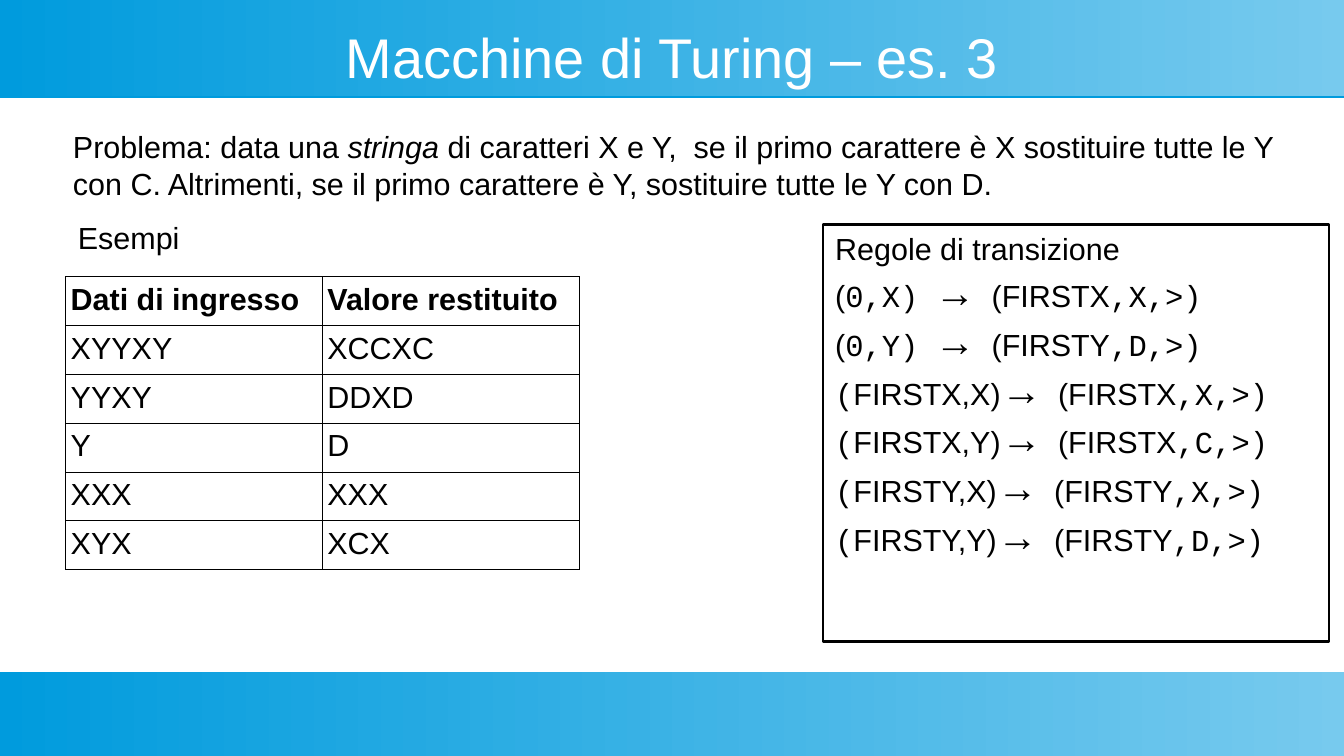
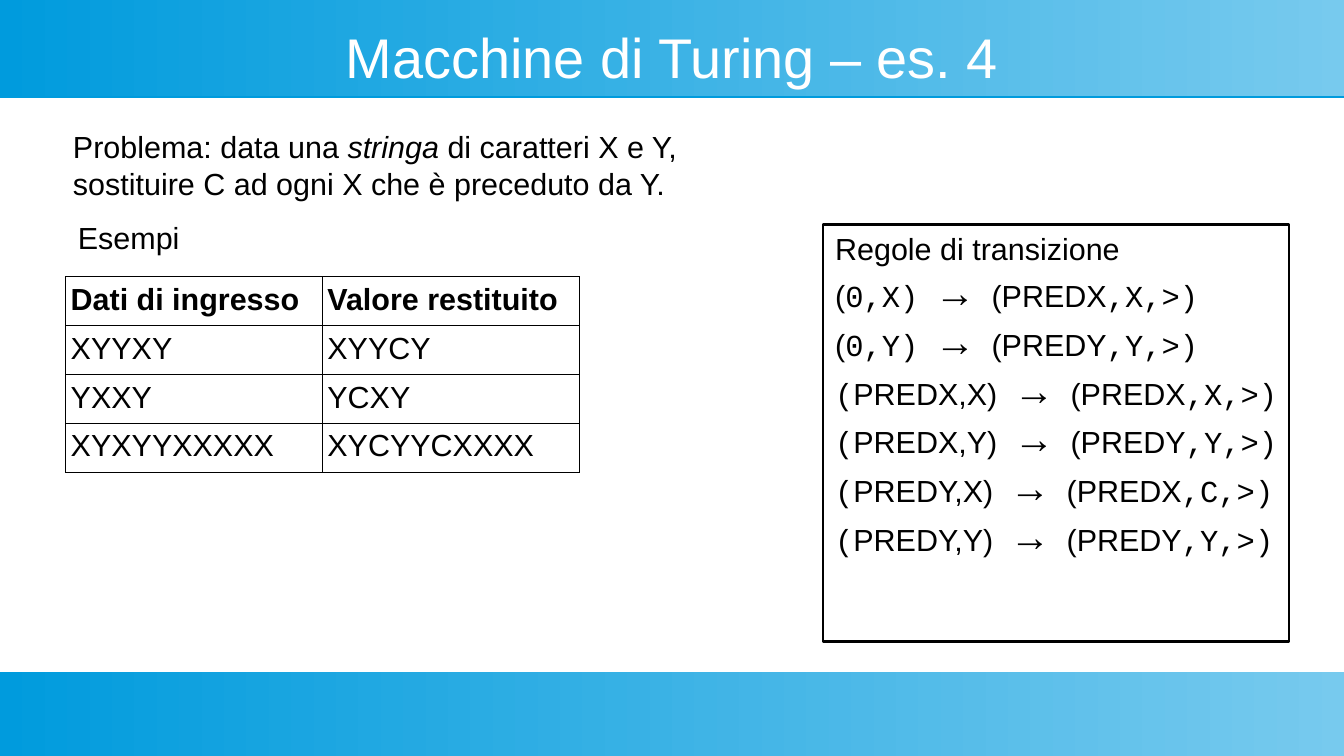
from dataclasses import dataclass
from typing import NamedTuple

from lxml import etree
from pptx import Presentation
from pptx import util as u
from pptx.dml.color import RGBColor
from pptx.enum import shapes, text
from pptx.oxml.ns import qn


@dataclass(frozen=True)
class Theme:
    deep: str = "009BDD"
    pale: str = "77CAEE"
    ink: str = "000000"
    paper: str = "FFFFFF"
    sans: str = "Arial"
    mono: str = "Courier New"
    title_size: float = 33
    body_size: float = 18
    arrow_size: float = 24
    cell_line: float = 0.57
    box_line: float = 1.42
    shadow_drop: float = 0.9


THEME = Theme()


class Region(NamedTuple):
    """Left, top, width and height in percent of the slide's size."""
    left: float
    top: float
    width: float
    height: float


class Span(NamedTuple):
    text: str
    font: str
    size: float
    bold: bool = False
    italic: bool = False
    color: str = THEME.ink


class Rule(NamedTuple):
    state: str
    symbol: str
    next_state: str
    new_symbol: str
    bold_arrow: bool = False


@dataclass(frozen=True)
class Exercise:
    number: int
    problem: list[list[str]]
    problem_width: float
    examples: list[tuple[str, str]]
    rules: list[Rule]
    rules_width: float
    narrow_gap: bool = False


WIDTH, HEIGHT = u.Inches(11.02), u.Inches(6.2)
BANDS = (Region(0, 0, 100, 12.74), Region(0, 88.87, 100, 11.13))
TITLE = Region(3.54, 3.23, 92.92, 8.39)
ROW_HEIGHT = 6.45
INITIAL = "0"
HEADER = ("Dati di ingresso", "Valore restituito")

EXERCISES = [
    Exercise(
        number=3,
        problem=[["Problema: data una ", "stringa",
                  " di caratteri X e Y,  se il primo carattere è X sostituire tutte le Y "
                  "con C. Altrimenti, se il primo carattere è Y, sostituire tutte le Y con D."]],
        problem_width=93.01,
        examples=[("XYYXY", "XCCXC"), ("YYXY", "DDXD"), ("Y", "D"),
                  ("XXX", "XXX"), ("XYX", "XCX")],
        rules=[Rule(INITIAL, "X", "FIRSTX", "X", True), Rule(INITIAL, "Y", "FIRSTY", "D"),
               Rule("FIRSTX", "X", "FIRSTX", "X", True), Rule("FIRSTX", "Y", "FIRSTX", "C"),
               Rule("FIRSTY", "X", "FIRSTY", "X"), Rule("FIRSTY", "Y", "FIRSTY", "D")],
        rules_width=37.66,
        narrow_gap=True,
    ),
    Exercise(
        number=4,
        problem=[["Problema: data una ", "stringa", " di caratteri X e Y,"],
                 ["sostituire C ad ogni X che è preceduto da Y."]],
        problem_width=63.52,
        examples=[("XYYXY", "XYYCY"), ("YXXY", "YCXY"), ("XYXYYXXXXX", "XYCYYCXXXX")],
        rules=[Rule(INITIAL, "X", "PREDX", "X", True), Rule(INITIAL, "Y", "PREDY", "Y"),
               Rule("PREDX", "X", "PREDX", "X"), Rule("PREDX", "Y", "PREDY", "Y"),
               Rule("PREDY", "X", "PREDX", "C"), Rule("PREDY", "Y", "PREDY", "Y")],
        rules_width=34.66,
    ),
]


def place(region: Region) -> tuple[int, int, int, int]:
    return (round(WIDTH * region.left / 100), round(HEIGHT * region.top / 100),
            round(WIDTH * region.width / 100), round(HEIGHT * region.height / 100))


def body(words: str, bold: bool = False, italic: bool = False) -> Span:
    return Span(words, THEME.sans, THEME.body_size, bold, italic)


def code(words: str) -> Span:
    return Span(words, THEME.mono, THEME.body_size)


def add_lines(frame, lines: list[list[Span]], align=text.PP_ALIGN.LEFT) -> None:
    for index, spans in enumerate(lines):
        paragraph = frame.add_paragraph() if index else frame.paragraphs[0]
        paragraph.alignment = align
        for span in spans:
            run = paragraph.add_run()
            run.text = span.text
            run.font.name = span.font
            run.font.size = u.Pt(span.size)
            run.font.bold = span.bold
            run.font.italic = span.italic
            run.font.color.rgb = RGBColor.from_string(span.color)


def add_band(slide, region: Region):
    band = slide.shapes.add_shape(shapes.MSO_SHAPE.RECTANGLE, *place(region))
    band.line.fill.background()
    band.fill.gradient()
    band.fill.gradient_angle = 0
    for stop, color in zip(band.fill.gradient_stops, (THEME.deep, THEME.pale)):
        stop.color.rgb = RGBColor.from_string(color)
    band.shadow.inherit = False
    effects = band.element.spPr.find(qn("a:effectLst"))
    shadow = etree.SubElement(effects, qn("a:outerShdw"), blurRad="0",
                              dist=str(u.Pt(THEME.shadow_drop)), dir="5400000",
                              algn="ctr", rotWithShape="0")
    etree.SubElement(shadow, qn("a:srgbClr"), val=THEME.deep)
    return band


def dress_layout(layout, slide) -> None:
    """Set the shared title place and bands; bands are drawn on slide, then moved."""
    for holder in list(layout.placeholders):
        if holder.placeholder_format.type == shapes.PP_PLACEHOLDER.TITLE:
            holder.left, holder.top, holder.width, holder.height = place(TITLE)
        else:
            holder.element.getparent().remove(holder.element)
    bands = [add_band(slide, region) for region in BANDS]
    for offset, band in enumerate(bands):
        layout.shapes.element.insert(2 + offset, band.element)


def add_title(slide, number: int) -> None:
    frame = slide.shapes.title.text_frame
    frame.margin_left = frame.margin_right = frame.margin_top = frame.margin_bottom = 0
    frame.vertical_anchor = text.MSO_ANCHOR.MIDDLE
    heading = Span(f"Macchine di Turing – es. {number}", THEME.sans,
                   THEME.title_size, color=THEME.paper)
    add_lines(frame, [[heading]], text.PP_ALIGN.CENTER)


def add_note(slide, region: Region, lines: list[list[Span]]) -> None:
    frame = slide.shapes.add_textbox(*place(region)).text_frame
    frame.word_wrap = True
    add_lines(frame, lines)


def outline_cell(cell) -> None:
    properties = cell._tc.get_or_add_tcPr()
    for index, side in enumerate(("a:lnL", "a:lnR", "a:lnT", "a:lnB")):
        line = etree.Element(qn(side), w=str(u.Pt(THEME.cell_line)))
        fill = etree.SubElement(line, qn("a:solidFill"))
        etree.SubElement(fill, qn("a:srgbClr"), val=THEME.ink)
        properties.insert(index, line)


def add_examples(slide, examples: list[tuple[str, str]]) -> None:
    rows = [HEADER, *examples]
    region = Region(4.9, 36.61, 38.2, ROW_HEIGHT * len(rows))
    table = slide.shapes.add_table(len(rows), len(HEADER), *place(region)).table
    table.first_row = table.horz_banding = False
    for row_index, row in enumerate(rows):
        for column_index, words in enumerate(row):
            cell = table.cell(row_index, column_index)
            cell.margin_left = cell.margin_right = u.Inches(0.04)
            cell.fill.background()
            outline_cell(cell)
            add_lines(cell.text_frame, [[body(words, bold=row_index == 0)]])


def rule_spans(rule: Rule, narrow_gap: bool) -> list[Span]:
    """Mix of sans and mono runs: the initial state is mono, named states are sans."""
    source = f"{rule.state},{rule.symbol})"
    if rule.state == INITIAL:
        spans, arrow = [body("("), code(source)], " → "
    elif narrow_gap:
        spans, arrow = [code("("), body(source + " ")], "→ "
    else:
        spans, arrow = [code("("), body(source)], " → "
    return [*spans,
            Span(arrow, THEME.mono, THEME.arrow_size, rule.bold_arrow),
            body(f"({rule.next_state}"), code(f",{rule.new_symbol},>)")]


def add_rules(slide, exercise: Exercise) -> None:
    region = Region(61.25, 29.68, exercise.rules_width, 55.16)
    box = slide.shapes.add_shape(shapes.MSO_SHAPE.RECTANGLE, *place(region))
    box.shadow.inherit = False
    box.fill.background()
    box.line.color.rgb = RGBColor.from_string(THEME.ink)
    box.line.width = u.Pt(THEME.box_line)
    frame = box.text_frame
    frame.word_wrap = True
    frame.margin_right = 0
    frame.vertical_anchor = text.MSO_ANCHOR.TOP
    add_lines(frame, [[body("Regole di transizione")],
                      *(rule_spans(rule, exercise.narrow_gap) for rule in exercise.rules)])


def add_exercise(slide, exercise: Exercise) -> None:
    add_title(slide, exercise.number)
    problem = [[body(words, italic=words == "stringa") for words in line]
               for line in exercise.problem]
    add_note(slide, Region(4.54, 16.13, exercise.problem_width, 10.65), problem)
    add_examples(slide, exercise.examples)
    add_note(slide, Region(4.9, 28.23, 15.88, 8.06), [[body("Esempi")]])
    add_rules(slide, exercise)


def main() -> None:
    deck = Presentation()
    deck.slide_width, deck.slide_height = WIDTH, HEIGHT
    layout = deck.slide_layouts[5]
    slides = [deck.slides.add_slide(layout) for _ in EXERCISES]
    dress_layout(layout, slides[0])
    for slide, exercise in zip(slides, EXERCISES):
        add_exercise(slide, exercise)
    deck.save("out.pptx")


if __name__ == "__main__":
    main()
